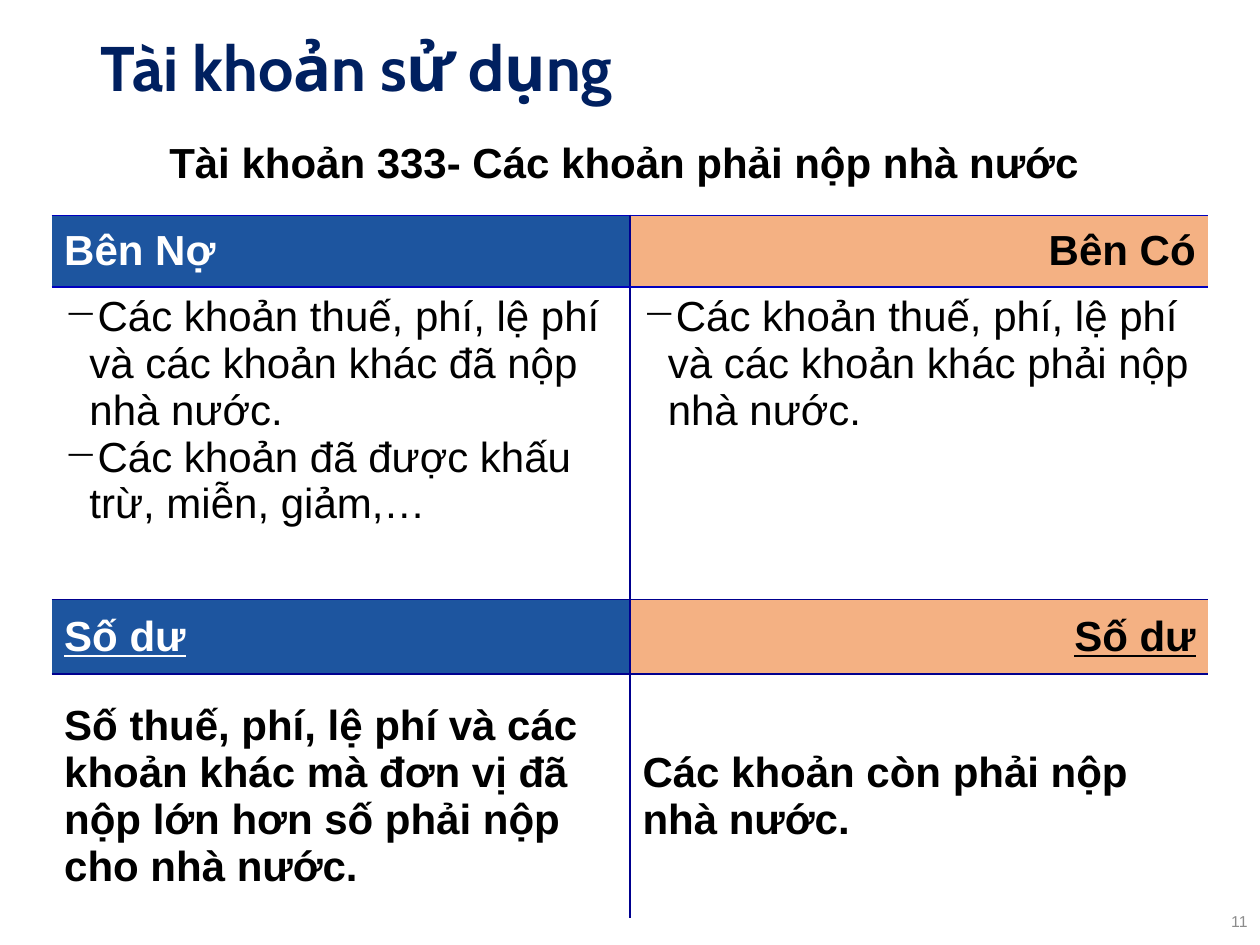
from lxml import etree
from pptx import Presentation
from pptx import util as u
from pptx.dml.color import RGBColor
from pptx.enum import text
from pptx.oxml.ns import qn

WIDTH, HEIGHT = u.Inches(10), u.Inches(7.5)
NAVY = RGBColor(0x00, 0x20, 0x60)
BLUE = RGBColor(0x1D, 0x55, 0x9F)
PEACH = RGBColor(0xF4, 0xB1, 0x83)
WHITE = RGBColor(0xFF, 0xFF, 0xFF)
BLACK = RGBColor(0x00, 0x00, 0x00)
GRAY = RGBColor(0x8C, 0x8C, 0x8C)
RULE = RGBColor(0x00, 0x00, 0xBF)
DIVIDER = RGBColor(0x00, 0x00, 0x8F)

LEFT, CENTER, RIGHT = text.PP_ALIGN.LEFT, text.PP_ALIGN.CENTER, text.PP_ALIGN.RIGHT
TOP, MIDDLE = text.MSO_ANCHOR.TOP, text.MSO_ANCHOR.MIDDLE
NO_STYLE = "{2D5ABB26-0587-4C30-8999-92F81FD0307C}"
COLUMN_WIDTH = 4.59
ROW_HEIGHTS = (0.82, 0.57, 2.48, 0.59, 1.94)

HEADING = "Tài khoản 333- Các khoản phải nộp nhà nước "
SIDES = ("Bên Nợ", "Bên Có")
ENTRIES = (
    ("Các khoản thuế, phí, lệ phí và các khoản khác đã nộp nhà nước.",
     "Các khoản đã được khấu trừ, miễn, giảm,…"),
    ("Các khoản thuế, phí, lệ phí và các khoản khác phải nộp nhà nước.",),
)
BALANCE = "Số dư"
BALANCES = (
    "Số thuế, phí, lệ phí và các khoản khác mà đơn vị đã nộp lớn hơn số phải nộp cho nhà nước.",
    "Các khoản còn phải nộp nhà nước.",
)


def add_dash(para):
    """Give a paragraph a hanging dash."""
    props = para._p.get_or_add_pPr()
    props.set("marL", str(u.Inches(0.2)))
    props.set("indent", str(u.Inches(-0.2)))
    etree.SubElement(props, qn("a:buChar")).set("char", "−")


def write(frame, *lines, size=24, font="Arial", color=BLACK, bold=True,
          underline=False, align=LEFT, dash=False, spacing=None):
    """Fill a text frame with one paragraph per line, all in one format."""
    for index, line in enumerate(lines):
        para = frame.add_paragraph() if index else frame.paragraphs[0]
        para.alignment = align
        if spacing:
            para.line_spacing = spacing
        if dash:
            add_dash(para)
        span = para.add_run()
        span.text = line
        span.font.size, span.font.name = u.Pt(size), font
        span.font.bold, span.font.underline = bold, underline
        span.font.color.rgb = color


def add_text(page, left, top, width, height, line, **style):
    """Place a text box; its position and size are shares of the slide."""
    box = page.shapes.add_textbox(int(left * WIDTH), int(top * HEIGHT),
                                  int(width * WIDTH), int(height * HEIGHT))
    box.text_frame.word_wrap = True
    box.text_frame.vertical_anchor = MIDDLE
    write(box.text_frame, line, **style)


def set_borders(cell, **colors):
    """Draw 1 pt lines on the sides named L, R, T or B."""
    props = cell._tc.get_or_add_tcPr()
    for side in "LRTB":
        if side in colors:
            line = etree.SubElement(props, qn("a:ln" + side), w=str(u.Pt(1)))
            fill = etree.SubElement(line, qn("a:solidFill"))
            etree.SubElement(fill, qn("a:srgbClr"), val=str(colors[side]))


def fill_cell(cell, *lines, fill=None, anchor=MIDDLE, borders=None, **style):
    set_borders(cell, **(borders or {}))
    if fill is None:
        cell.fill.background()
    else:
        cell.fill.solid()
        cell.fill.fore_color.rgb = fill
    cell.vertical_anchor = anchor
    write(cell.text_frame, *lines, **style)


def add_account_table(page):
    table = page.shapes.add_table(
        len(ROW_HEIGHTS), 2, u.Inches(0.41), u.Inches(0.89),
        u.Inches(2 * COLUMN_WIDTH), u.Inches(sum(ROW_HEIGHTS))).table
    table.first_row = table.horz_banding = False
    table._tbl.tblPr.find(qn("a:tableStyleId")).text = NO_STYLE
    for row, height in zip(table.rows, ROW_HEIGHTS):
        row.height = u.Inches(height)

    table.cell(0, 0).merge(table.cell(0, 1))
    fill_cell(table.cell(0, 0), HEADING, align=CENTER, borders={"B": RULE})
    set_borders(table.cell(0, 1), B=RULE)

    banners = ({"fill": BLUE, "color": WHITE},
               {"fill": PEACH, "color": BLACK, "align": RIGHT})
    for col, banner in enumerate(banners):
        table.columns[col].width = u.Inches(COLUMN_WIDTH)
        inner = {"RL"[col]: DIVIDER}
        fill_cell(table.cell(1, col), SIDES[col],
                  borders={**inner, "T": RULE}, **banner)
        fill_cell(table.cell(2, col), *ENTRIES[col], bold=False, dash=True,
                  anchor=TOP, borders={**inner, "B": DIVIDER})
        fill_cell(table.cell(3, col), BALANCE, underline=True,
                  borders={**inner, "T": DIVIDER}, **banner)
        fill_cell(table.cell(4, col), BALANCES[col], borders=inner)


def main():
    deck = Presentation()
    deck.slide_width, deck.slide_height = WIDTH, HEIGHT
    page = deck.slides.add_slide(deck.slide_layouts[6])
    add_text(page, 0.07, 0.03, 0.86, 0.09, "Tài khoản sử dụng",
             size=36, font="Cabin", color=NAVY, spacing=0.9)
    add_text(page, 0.78, 0.95, 0.22, 0.05, "11",
             size=9, color=GRAY, bold=False, align=RIGHT)
    add_account_table(page)
    deck.save("out.pptx")


if __name__ == "__main__":
    main()
